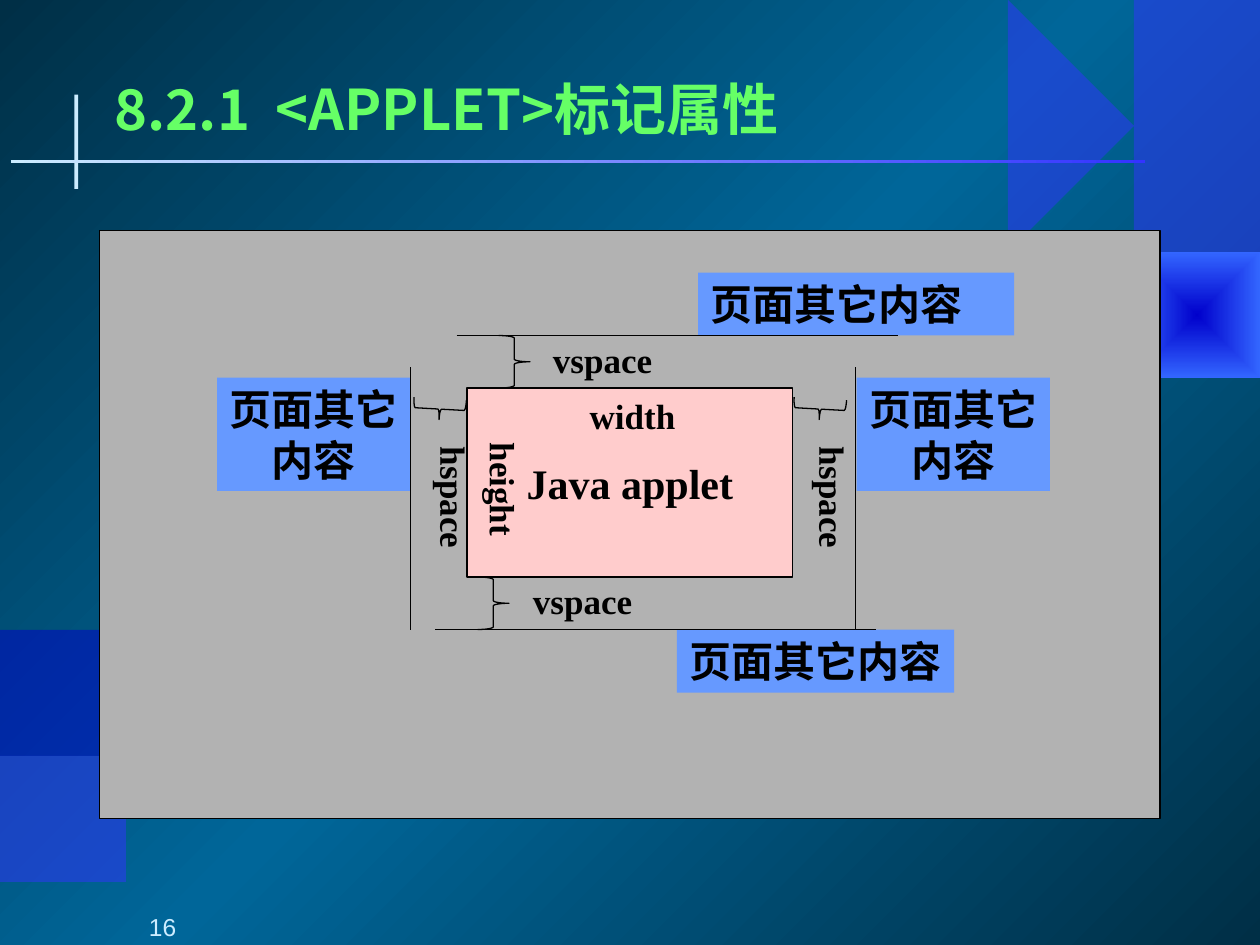
import dataclasses
import math
import typing

import lxml.etree
import pptx
import pptx.dml.color
import pptx.enum.shapes
import pptx.enum.text
import pptx.oxml
import pptx.oxml.ns
import pptx.util

RGB = pptx.dml.color.RGBColor
Inches = pptx.util.Inches
SHAPE = pptx.enum.shapes.MSO_SHAPE
ALIGN = pptx.enum.text.PP_ALIGN
ANCHOR = pptx.enum.text.MSO_ANCHOR
qn = pptx.oxml.ns.qn

NIGHT, TEAL = RGB(0x00, 0x2F, 0x46), RGB(0x00, 0x66, 0x99)
NAVY, INDIGO, AZURE = RGB(0, 0, 0xCC), RGB(0x33, 0x33, 0xFF), RGB(0x33, 0x66, 0xFF)
ICE, GREEN, BLACK = RGB(0xCC, 0xEC, 0xFF), RGB(0x66, 0xFF, 0x66), RGB(0, 0, 0)
GRAY, PINK, BLUE = RGB(0xB2, 0xB2, 0xB2), RGB(0xFF, 0xCC, 0xCC), RGB(0x66, 0x99, 0xFF)
SERIF, SANS, CHINESE = "Times New Roman", "Arial", "Noto Sans CJK SC"

WIDTH, HEIGHT = 10, 7.5
# The diagram lies on a grid of 1/12 inch that starts at the panel's corner
UNIT, PANEL_LEFT, PANEL_TOP = 1 / 12, 0.79, 1.83
OTHER = "页面其它内容"
OTHER_SPLIT = "页面其它\n内容"


@dataclasses.dataclass
class Area:
    """A place on the diagram grid, in columns and rows."""
    col: float
    row: float
    cols: float
    rows: float

    def inches(self) -> tuple:
        return (Inches(PANEL_LEFT + self.col * UNIT), Inches(PANEL_TOP + self.row * UNIT),
                Inches(self.cols * UNIT), Inches(self.rows * UNIT))


@dataclasses.dataclass
class Label:
    text: str
    area: Area
    size: int = 20
    fill: typing.Optional[RGB] = None
    align: ALIGN = ALIGN.LEFT
    vertical: bool = False
    wrap: bool = False


@dataclasses.dataclass
class Gear:
    """A toothed ellipse, kept within the slide's sides when clipped."""
    color: RGB
    center: tuple
    radii: tuple
    clipped: bool = False

    def outline(self) -> list:
        points = []
        for tooth in range(12):
            for offset, share in ((-10, 0.7), (-6, 1), (6, 1), (10, 0.7)):
                angle = math.radians(tooth * 30 + offset)
                across = self.center[0] + share * self.radii[0] * math.cos(angle)
                down = self.center[1] + share * self.radii[1] * math.sin(angle)
                points.append((min(max(across, 0), WIDTH) if self.clipped else across, down))
        return points


GEARS = [Gear(NAVY, (0.85, 5.29), (0.75, 0.8)),
         Gear(INDIGO, (0.27, 6.61), (0.97, 0.89), clipped=True),
         Gear(AZURE, (9.33, 2.25), (0.81, 0.61)),
         Gear(INDIGO, (9.31, 1), (1.01, 0.95), clipped=True)]

SIDE_TILT = 273.2
BRACES = [(Area(36, 33, 3, 5), 0), (Area(38, 10, 3, 5), 0),
          (Area(67.6, 14.5, 2, 5), SIDE_TILT), (Area(31.4, 14.5, 2, 5), SIDE_TILT)]
RULES = [Area(32, 38, 42, 0), Area(34, 10, 42, 0), Area(72, 13, 0, 25), Area(29.6, 13, 0, 25)]
LABELS = [
    Label(OTHER_SPLIT, Area(72.1, 14, 18.4, 10.8), 24, BLUE, ALIGN.CENTER),
    Label(OTHER_SPLIT, Area(11.2, 14, 18.4, 10.8), 24, BLUE, ALIGN.CENTER),
    Label(OTHER, Area(55, 38, 26.4, 6), 24, BLUE),
    Label(OTHER, Area(57, 4, 30.1, 6), 24, BLUE, wrap=True),
    Label("vspace", Area(40.1, 32.6, 11.9, 5.3)),
    Label("vspace", Area(42, 9.7, 11.9, 5.3)),
    Label("hspace", Area(66.1, 19.4, 6.4, 10.9), vertical=True),
    Label("hspace", Area(30, 19.4, 6.4, 10.9), vertical=True),
    Label("height", Area(34.7, 19, 6.4, 10.2), vertical=True),
    Label("width", Area(45.5, 15, 10.6, 5.3)),
]


def set_gradient(element, stops: list, angle: typing.Optional[int] = None) -> None:
    """Swap the first solid fill for a gradient; without an angle it runs from the centre."""
    marks = "".join(f'<a:gs pos="{share * 1000}"><a:srgbClr val="{color}"/></a:gs>' for share, color in stops)
    course = (f'<a:lin ang="{angle * 60000}" scaled="0"/>' if angle is not None else
              '<a:path path="rect"><a:fillToRect l="50000" t="50000" r="50000" b="50000"/></a:path>')
    solid = next(element.iter(qn("a:solidFill")))
    solid.getparent().replace(solid, pptx.oxml.parse_xml(
        f'<a:gradFill {pptx.oxml.ns.nsdecls("a")} rotWithShape="1"><a:gsLst>{marks}</a:gsLst>{course}</a:gradFill>'))


def paint(shape, fill: typing.Optional[RGB] = None, line: typing.Optional[RGB] = None) -> None:
    shape.shadow.inherit = False
    if fill is None:
        shape.fill.background()
    else:
        shape.fill.solid()
        shape.fill.fore_color.rgb = fill
    if line is None:
        shape.line.fill.background()
    else:
        shape.line.color.rgb = line
        shape.line.width = pptx.util.Pt(0.75)


def write(box, text: str, *, size: int, font: str = SERIF, color: RGB = BLACK, bold: bool = True,
          align: ALIGN = ALIGN.LEFT, anchor: ANCHOR = ANCHOR.TOP, wrap: bool = False,
          margins: tuple = (0.1, 0.05, 0.1, 0.05)) -> None:
    frame = box.text_frame
    frame.auto_size = pptx.enum.text.MSO_AUTO_SIZE.NONE
    frame.word_wrap, frame.vertical_anchor = wrap, anchor
    (frame.margin_left, frame.margin_top,
     frame.margin_right, frame.margin_bottom) = map(Inches, margins)
    frame.text = text
    for para in frame.paragraphs:
        para.alignment = align
        for span in para.runs:
            span.font.size, span.font.bold, span.font.name = pptx.util.Pt(size), bold, font
            span.font.color.rgb = color
            east_asian = lxml.etree.SubElement(span.font._element, qn("a:ea"))
            east_asian.set("typeface", CHINESE)


def add_gear(page, gear: Gear) -> None:
    start, *rest = gear.outline()
    builder = page.shapes.build_freeform(*start, scale=Inches(1))
    builder.add_line_segments(rest, close=True)
    shape = builder.convert_to_shape()
    paint(shape, gear.color)
    if gear.color == AZURE:
        set_gradient(shape.element, [(0, NAVY), (100, AZURE)])
    else:
        color = next(shape.element.iter(qn("a:srgbClr")))
        lxml.etree.SubElement(color, qn("a:alpha")).set("val", "50000")


def add_box(page, place: tuple, fill: RGB, line: typing.Optional[RGB] = None):
    box = page.shapes.add_shape(SHAPE.RECTANGLE, *place)
    paint(box, fill, line)
    return box


def add_label(page, label: Label) -> None:
    place = label.area.inches()
    box = add_box(page, place, label.fill) if label.fill else page.shapes.add_textbox(*place)
    margins = (0.05, 0.1, 0.05, 0.1) if label.vertical else (0.1, 0.05, 0.1, 0.05)
    write(box, label.text, size=label.size, align=label.align, wrap=label.wrap, margins=margins)
    if label.vertical:
        box.text_frame._txBody.bodyPr.set("vert", "eaVert")


def add_rule(page, area: Area) -> None:
    left, top, width, height = area.inches()
    rule = page.shapes.add_connector(pptx.enum.shapes.MSO_CONNECTOR.STRAIGHT,
                                     left, top, left + width, top + height)
    rule.line.color.rgb, rule.line.width = BLACK, pptx.util.Pt(0.75)
    lxml.etree.SubElement(rule._element.spPr, qn("a:effectLst"))


def add_brace(page, area: Area, rotation: float) -> None:
    kind = SHAPE.LEFT_BRACE if rotation else SHAPE.RIGHT_BRACE
    brace = page.shapes.add_shape(kind, *area.inches())
    brace.rotation = rotation
    paint(brace, line=BLACK)


def main() -> None:
    deck = pptx.Presentation()
    deck.slide_width, deck.slide_height = Inches(WIDTH), Inches(HEIGHT)
    page = deck.slides.add_slide(deck.slide_layouts[5])

    # Background, gears and title cross
    page.background.fill.solid()
    page.background.fill.fore_color.rgb = NIGHT
    set_gradient(page.element, [(0, NIGHT), (50, TEAL), (100, NIGHT)], 225)
    for gear in GEARS:
        add_gear(page, gear)
    add_box(page, tuple(map(Inches, (0.59, 0.75, 0.03, 0.75))), ICE)
    bar = add_box(page, tuple(map(Inches, (0.09, 1.27, 9, 0.02))), ICE)
    set_gradient(bar.element, [(0, INDIGO), (100, ICE)], 180)

    # Applet diagram
    add_box(page, Area(0, 0, 101, 56).inches(), GRAY, BLACK)
    applet = add_box(page, Area(35, 15, 31, 18).inches(), PINK, BLACK)
    write(applet, "Java applet", size=24, align=ALIGN.CENTER, anchor=ANCHOR.MIDDLE)
    for label in LABELS:
        add_label(page, label)
    for rule in RULES:
        add_rule(page, rule)
    for area, rotation in BRACES:
        add_brace(page, area, rotation)

    # Title and page number
    title = page.shapes.title
    title.left, title.top, title.width, title.height = map(Inches, (0.87, 0.54, 8.84, 0.63))
    write(title, "8.2.1  <APPLET>标记属性", size=32, font=CHINESE, color=GREEN, wrap=True,
          anchor=ANCHOR.MIDDLE, margins=(0.04, 0.05, 0.04, 0.05))
    number = page.shapes.add_textbox(*map(Inches, (0, 7.05, 2.08, 0.42)))
    write(number, "16", size=14, font=SANS, color=ICE, bold=False, align=ALIGN.CENTER,
          anchor=ANCHOR.BOTTOM, wrap=True, margins=(0.6, 0, 0.1, 0))
    deck.save("out.pptx")


if __name__ == "__main__":
    main()
